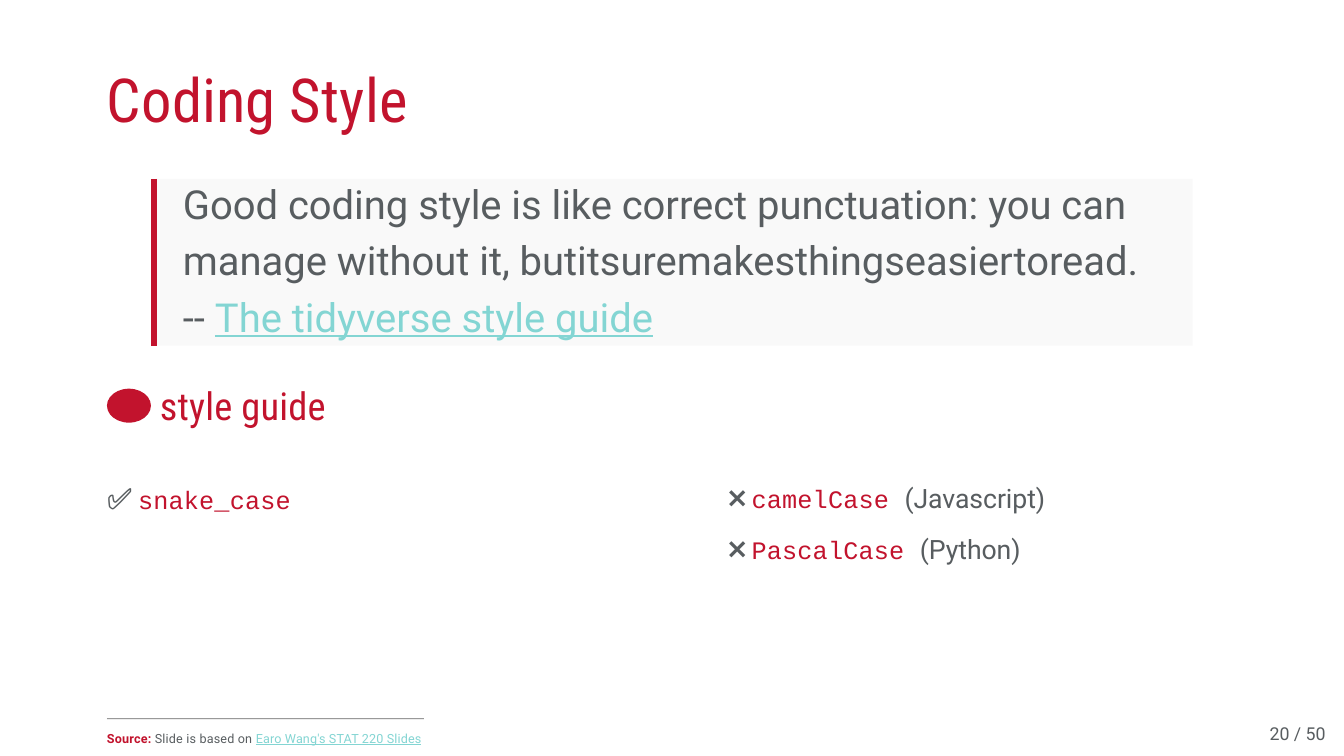
from pptx import Presentation
from pptx.dml.color import RGBColor
from pptx.enum.shapes import MSO_CONNECTOR, MSO_SHAPE
from pptx.enum.text import MSO_ANCHOR, MSO_AUTO_SIZE, PP_ALIGN
from pptx.util import Pt
from lxml import etree

LINE = MSO_CONNECTOR.STRAIGHT
RECT, OVAL = MSO_SHAPE.RECTANGLE, MSO_SHAPE.OVAL
TOP, LEFT, FIXED = MSO_ANCHOR.TOP, PP_ALIGN.LEFT, MSO_AUTO_SIZE.NONE
NS = "{http://schemas.openxmlformats.org/drawingml/2006/main}"
PX = 8578
RED, GREY, TEAL = "C2132D", "585D60", "83D5D3"
SANS, SLIM, MONO = "Roboto", "Roboto Condensed", "Courier New"


def style(font, size=None, face=None, color=None, bold=None, line=None):
    if size:
        font.size = Pt(size)
    if face:
        font.name = face
    if color:
        font.color.rgb = RGBColor.from_string(color)
    if bold is not None:
        font.bold = bold
    if line:
        font.underline = True


def write(shape, box, paras, base, gap=0, pad=(1, 1)):
    shape.left, shape.top, shape.width, shape.height = [n * PX for n in box]
    frame = shape.text_frame
    frame.auto_size, frame.word_wrap, frame.vertical_anchor = FIXED, True, TOP
    frame.margin_left, frame.margin_top = [n * PX for n in pad]
    frame.margin_right = frame.margin_bottom = 0
    for i, runs in enumerate(paras):
        para = frame.add_paragraph() if i else frame.paragraphs[0]
        props = para._p.get_or_add_pPr()
        props.set("marL", "0")
        props.set("indent", "0")
        etree.SubElement(props, NS + "buNone")
        para.alignment = LEFT
        para.space_before = Pt(gap if i else 0)
        style(para.font, **base)
        for words, look, space in runs:
            run = para.add_run()
            run.text = words
            style(run.font, **look)
            if space:
                run._r.get_or_add_rPr().set("spc", str(space))


deck = Presentation()
deck.slide_width, deck.slide_height = Pt(908), Pt(511)
slide = deck.slides.add_slide(deck.slide_layouts[3])
shapes = slide.shapes
title, good, bad = slide.placeholders

write(title, (106, 61, 304, 77), [[("Coding Style", {}, 10)]],
      dict(size=41, face=SLIM, color=RED))

quote = shapes.add_shape(RECT, 0, 0, PX, PX)
quote.shadow.inherit = False
quote.fill.solid()
quote.fill.fore_color.rgb = RGBColor.from_string("F9F9F9")
quote.line.fill.background()
write(quote, (157, 179, 1036, 167), [
    [("Good coding style is like correct punctuation: you can", {}, -3)],
    [("manage without it, butitsuremakesthingseasiertoread.", {}, -4)],
    [("-- ", dict(color=GREY), 0),
     ("The tidyverse style guide", dict(color=TEAL, line=True), 0)],
], dict(size=27, face=SANS, color=GREY), gap=5.5, pad=(26, 1))

badge = shapes.add_shape(OVAL, 107 * PX, 389 * PX, 44 * PX, 34 * PX)
badge.shadow.inherit = False
badge.fill.solid()
badge.fill.fore_color.rgb = RGBColor.from_string(RED)
badge.line.fill.background()
write(shapes.add_textbox(0, 0, PX, PX), (158, 381, 172, 50),
      [[("style guide", {}, 10)]], dict(size=26, face=SLIM, color=RED), pad=(2, 1))

code = dict(size=17, face=MONO, color=RED)
write(good, (106, 479, 198, 39), [
    [("✅ ", dict(size=20, face=SANS, color=GREY), -150),
     ("snake_case", code, 10)],
], {})
write(bad, (727, 463, 332, 106), [
    [("❌ ", dict(size=19, face=SANS, color=GREY), -140),
     (name + " ", code, 10),
     (lang, dict(size=18, face=SANS, color=GREY), -5)]
    for name, lang in [("camelCase", "(Javascript)"), ("PascalCase", "(Python)")]
], {}, gap=11.8, pad=(1, 18))

for x1, y1, x2, y2, color, width in [
    (154, 179, 154, 346, RED, 3.75),
    (107, 719, 424, 719, "999999", 0.75),
    (107, 720, 424, 720, "EDEDED", 0.75),
]:
    rule = shapes.add_connector(LINE, x1 * PX, y1 * PX, x2 * PX, y2 * PX)
    rule.line.color.rgb = RGBColor.from_string(color)
    rule.line.width = Pt(width)
    etree.SubElement(rule._element.spPr, NS + "effectLst")

write(shapes.add_textbox(0, 0, PX, PX), (106, 730, 321, 19), [
    [("Source: ", dict(color=RED, bold=True), 10),
     ("Slide is based on ", dict(color=GREY), 10),
     ("Earo Wang's STAT 220 Slides", dict(color=TEAL, line=True), 8)],
], dict(size=8.5, face=SANS))
write(shapes.add_textbox(0, 0, PX, PX), (1269, 723, 60, 25),
      [[("20 / 50", {}, 0)]], dict(size=12, face=SANS, color=GREY), pad=(1, 0))

deck.save("out.pptx")
